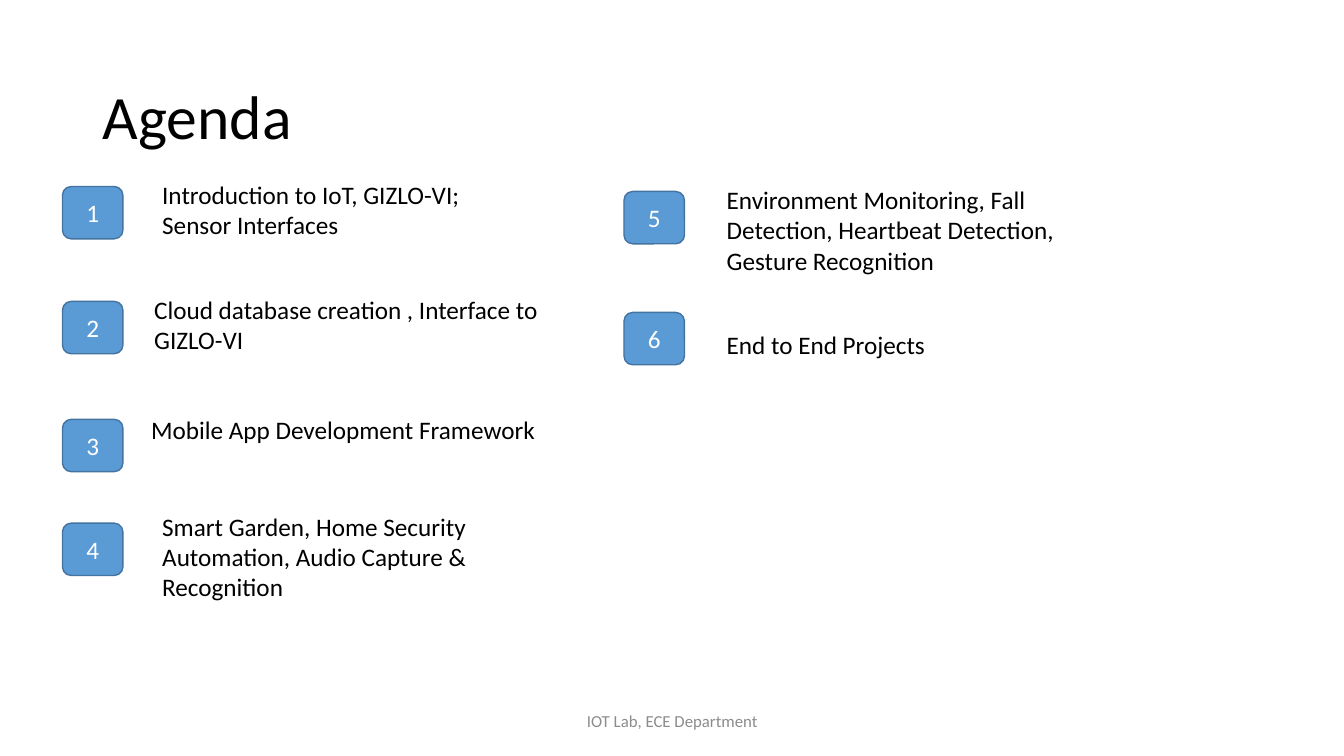
from dataclasses import dataclass

from pptx import Presentation
from pptx.dml.color import RGBColor
from pptx.enum.shapes import MSO_SHAPE
from pptx.enum.text import MSO_ANCHOR, MSO_AUTO_SIZE, PP_ALIGN
from pptx.util import Inches, Pt

# Grid: 100 columns by 100 rows over the whole slide
WIDE, HIGH = Inches(13.333), Inches(7.5)
COL, ROW = WIDE / 100, HIGH / 100


@dataclass(frozen=True)
class Theme:
    font: str = "Calibri"
    ink: str = "000000"
    pale: str = "FFFFFF"
    gray: str = "8C8C8C"
    fill: str = "5B9BD5"
    edge: str = "43739E"
    head: int = 44
    body: int = 18
    foot: int = 12


@dataclass(frozen=True)
class Box:
    left: float
    top: float
    width: float
    height: float

    def place(self) -> tuple[int, int, int, int]:
        return (round(self.left * COL), round(self.top * ROW),
                round(self.width * COL), round(self.height * ROW))


@dataclass(frozen=True)
class Topic:
    badge: tuple[float, float]
    box: Box
    text: str


THEME = Theme()
BADGE = (4.5, 6.93)
LEFT, RIGHT = 4.65, 46.43

TOPICS = [
    Topic((LEFT, 24.67), Box(11.33, 23.07, 34.05, 9.47),
          "Introduction to IoT, GIZLO-VI;\nSensor Interfaces"),
    Topic((LEFT, 39.87), Box(10.73, 38.27, 34.05, 13.47),
          "Cloud database creation , Interface to GIZLO-VI"),
    Topic((LEFT, 55.47), Box(10.5, 54.13, 32.55, 5.33),
          "Mobile App Development Framework"),
    Topic((LEFT, 69.2), Box(11.33, 66.93, 32.55, 13.47),
          "Smart Garden, Home Security Automation, Audio Capture & Recognition"),
    Topic((RIGHT, 25.33), Box(53.33, 23.73, 28.65, 13.47),
          "Environment Monitoring, Fall Detection, Heartbeat Detection, "
          "Gesture Recognition"),
    Topic((RIGHT, 41.33), Box(53.33, 42.93, 28.65, 5.33),
          "End to End Projects"),
]


def write(shape, text: str, *, size: int = THEME.body, color: str = THEME.ink,
          align=PP_ALIGN.LEFT, anchor=MSO_ANCHOR.MIDDLE, grow: bool = False,
          space: float = 1.0) -> None:
    frame = shape.text_frame
    frame.text = text
    frame.word_wrap = True
    frame.vertical_anchor = anchor
    frame.auto_size = MSO_AUTO_SIZE.SHAPE_TO_FIT_TEXT if grow else MSO_AUTO_SIZE.NONE
    for para in frame.paragraphs:
        para.alignment = align
        para.line_spacing = space
        for run in para.runs:
            run.font.name = THEME.font
            run.font.size = Pt(size)
            run.font.color.rgb = RGBColor.from_string(color)


def label(slide, box: Box, text: str, **form) -> None:
    write(slide.shapes.add_textbox(*box.place()), text, **form)


def badge(slide, box: Box, text: str) -> None:
    shape = slide.shapes.add_shape(MSO_SHAPE.ROUNDED_RECTANGLE, *box.place())
    shape.shadow.inherit = False
    shape.fill.solid()
    shape.fill.fore_color.rgb = RGBColor.from_string(THEME.fill)
    shape.line.color.rgb = RGBColor.from_string(THEME.edge)
    shape.line.width = Pt(1)
    write(shape, text, color=THEME.pale, align=PP_ALIGN.CENTER)


def main() -> None:
    deck = Presentation()
    deck.slide_width, deck.slide_height = WIDE, HIGH
    slide = deck.slides.add_slide(deck.slide_layouts[6])

    # Title and footer
    label(slide, Box(6.9, 6.13, 86.25, 19.33), "Agenda", size=THEME.head, space=0.9)
    label(slide, Box(33.15, 92.67, 33.75, 5.33), "IOT Lab, ECE Department",
          size=THEME.foot, color=THEME.gray, align=PP_ALIGN.CENTER)

    # Numbered topics
    for count, topic in enumerate(TOPICS, 1):
        badge(slide, Box(*topic.badge, *BADGE), str(count))
        label(slide, topic.box, topic.text, anchor=MSO_ANCHOR.TOP, grow=True)

    deck.save("out.pptx")


if __name__ == "__main__":
    main()
